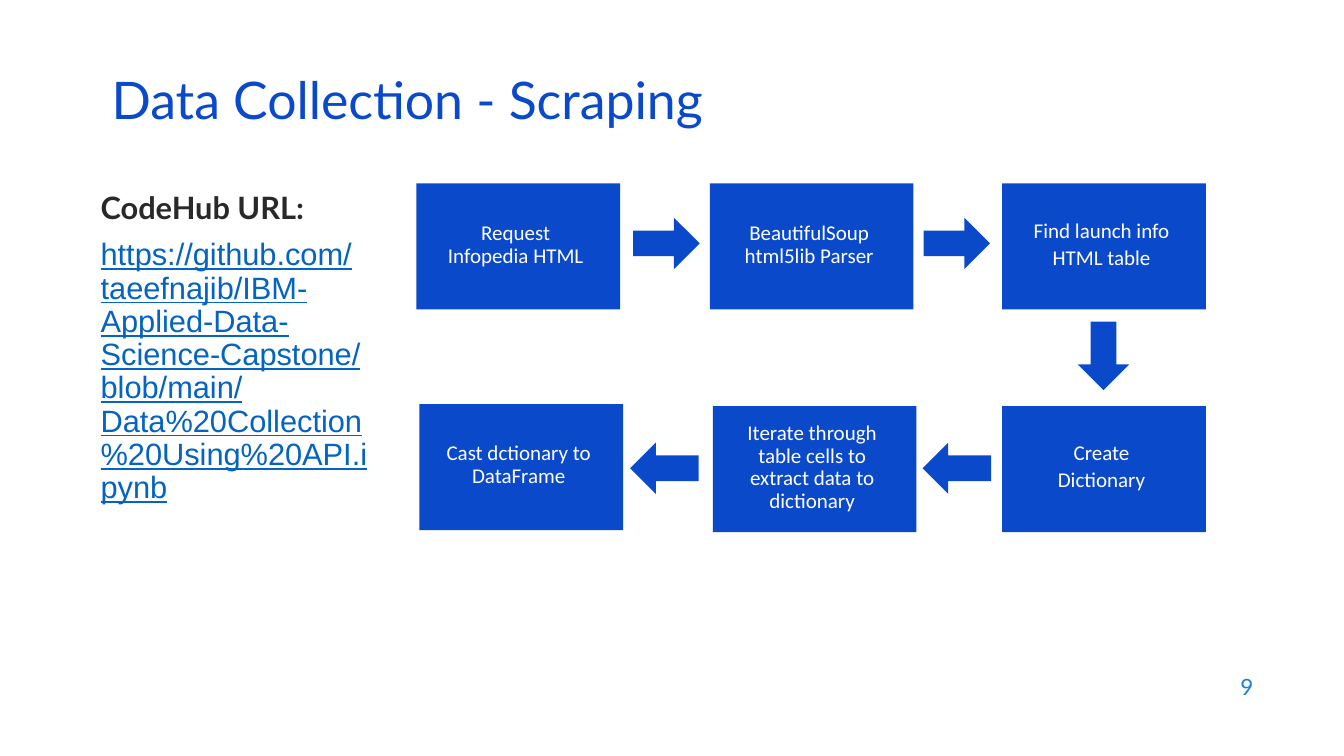
from pptx import Presentation
from pptx.dml.color import RGBColor
from pptx.enum.shapes import MSO_SHAPE
from pptx.enum.text import MSO_ANCHOR, PP_ALIGN
from pptx.util import Inches, Pt

RECT = MSO_SHAPE.RECTANGLE
RIGHT, LEFT, DOWN = MSO_SHAPE.RIGHT_ARROW, MSO_SHAPE.LEFT_ARROW, MSO_SHAPE.DOWN_ARROW
TOP, MIDDLE = MSO_ANCHOR.TOP, MSO_ANCHOR.MIDDLE

TITLE = "Data Collection - Scraping"
LABEL = "CodeHub URL:"
URL = ("https://github.com/taeefnajib/IBM-Applied-Data-Science-Capstone/"
       "blob/main/Data%20Collection%20Using%20API.ipynb")
PAGE = "9"

# left, top, text
STEPS = [
    (4.13, 1.82, "Request Infopedia HTML"),
    (7.04, 1.82, "BeautifulSoup\vhtml5lib Parser"),
    (9.94, 1.82, "Find launch info\nHTML table"),
    (9.94, 4.03, "Create\nDictionary"),
    (7.07, 4.03, "Iterate through table cells to extract data to dictionary"),
    (4.16, 4.01, "Cast dctionary to DataFrame"),
]
STEP_SIZE = (2.02, 1.25)

# kind, left, top, width, height
ARROWS = [
    (RIGHT, 6.28, 2.16, 0.66, 0.51),
    (RIGHT, 9.16, 2.16, 0.66, 0.51),
    (DOWN, 10.69, 3.19, 0.51, 0.68),
    (LEFT, 9.15, 4.39, 0.68, 0.51),
    (LEFT, 6.25, 4.39, 0.68, 0.51),
]

THEME = {
    "blue": "0B49CB", "page": "1C7DDB", "dark": "292929",
    "link": "0563C1", "white": "FFFFFF",
    "head": "Lato", "body": "Calibri", "url": "Arial",
    "title_pt": 37, "side_pt": 22, "step_pt": 15, "page_pt": 16,
}


def style(para, face, size, color):
    font = para.font
    font.name = THEME[face]
    font.size = Pt(THEME[size])
    font.color.rgb = RGBColor.from_string(THEME[color])


def add_text(slide, box, text, anchor):
    frame = slide.shapes.add_textbox(*map(Inches, box)).text_frame
    frame.word_wrap = True
    frame.vertical_anchor = anchor
    frame.text = text
    return frame.paragraphs


def add_block(slide, kind, *box):
    shape = slide.shapes.add_shape(kind, *map(Inches, box))
    shape.shadow.inherit = False
    shape.fill.solid()
    shape.fill.fore_color.rgb = RGBColor.from_string(THEME["blue"])
    shape.line.fill.background()
    return shape


def add_step(slide, left, top, text):
    frame = add_block(slide, RECT, left, top, *STEP_SIZE).text_frame
    frame.word_wrap = True
    frame.vertical_anchor = MIDDLE
    frame.margin_left, frame.margin_right = Inches(0.25), Inches(0.3)
    frame.margin_top, frame.margin_bottom = 0, Inches(0.04)
    frame.text = text
    for rank, para in enumerate(frame.paragraphs):
        para.alignment = PP_ALIGN.CENTER
        para.line_spacing = Pt(16.4)
        para.space_before = Pt(2.9 if rank else 0)
        style(para, "body", "step_pt", "white")


def main():
    deck = Presentation()
    deck.slide_width, deck.slide_height = Inches(13.33), Inches(7.5)
    slide = deck.slides.add_slide(deck.slide_layouts[6])

    title, = add_text(slide, (1.01, 0.76, 11.5, 0.6), TITLE, MIDDLE)
    title.line_spacing = 0.7
    style(title, "head", "title_pt", "blue")

    label, link = add_text(slide, (0.9, 1.82, 3, 4.77), LABEL + "\n" + URL, TOP)
    style(label, "head", "side_pt", "dark")
    label.font.bold = True
    link.line_spacing = 0.9
    link.space_before = Pt(10)
    style(link, "url", "side_pt", "link")
    link.font.underline = True

    for step in STEPS:
        add_step(slide, *step)
    for arrow in ARROWS:
        add_block(slide, *arrow)

    page, = add_text(slide, (9.53, 6.59, 3, 0.44), PAGE, MIDDLE)
    page.alignment = PP_ALIGN.RIGHT
    style(page, "head", "page_pt", "page")

    deck.save("out.pptx")


if __name__ == "__main__":
    main()
